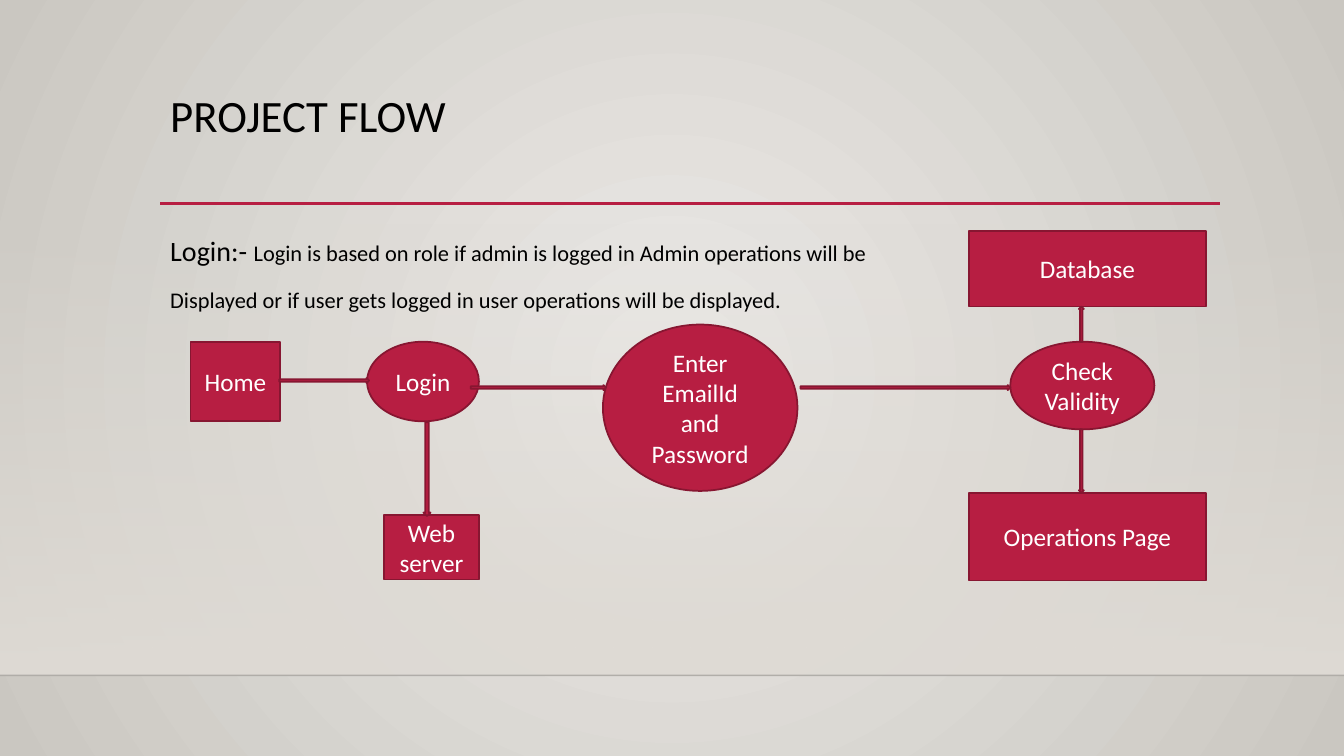
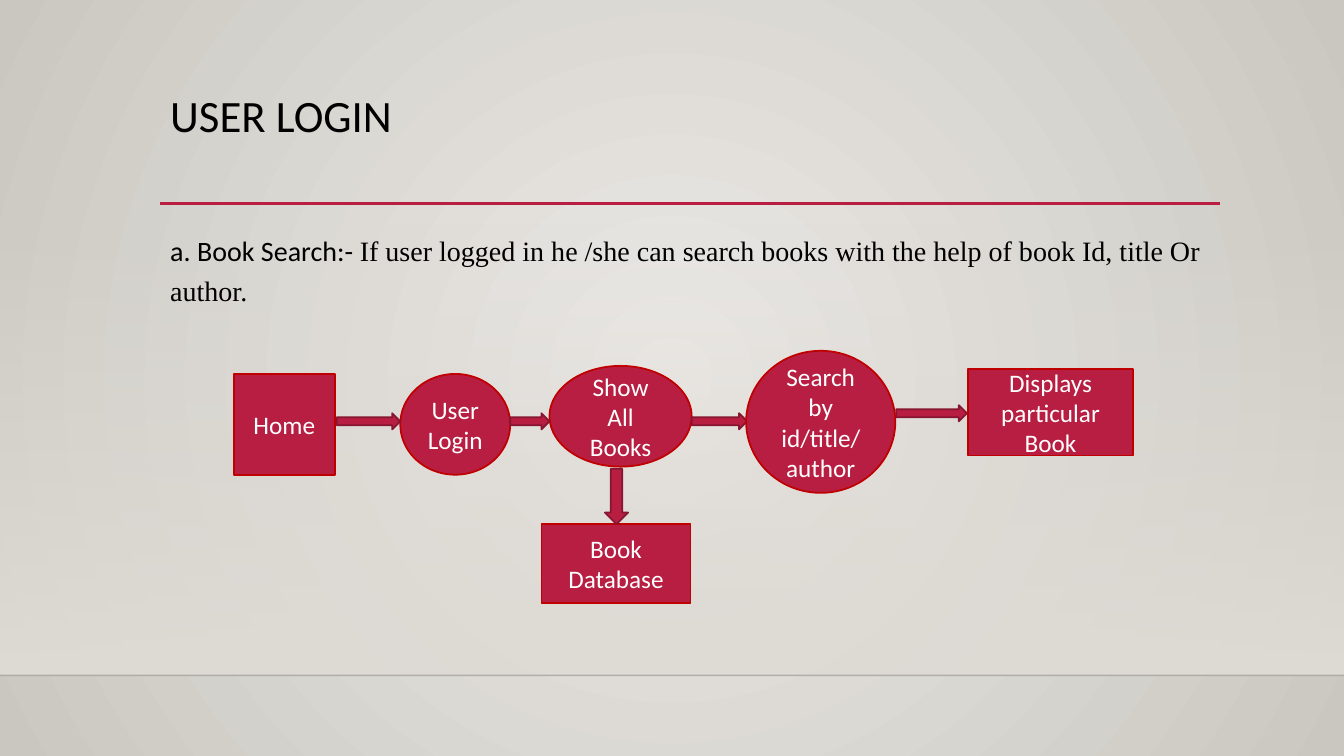
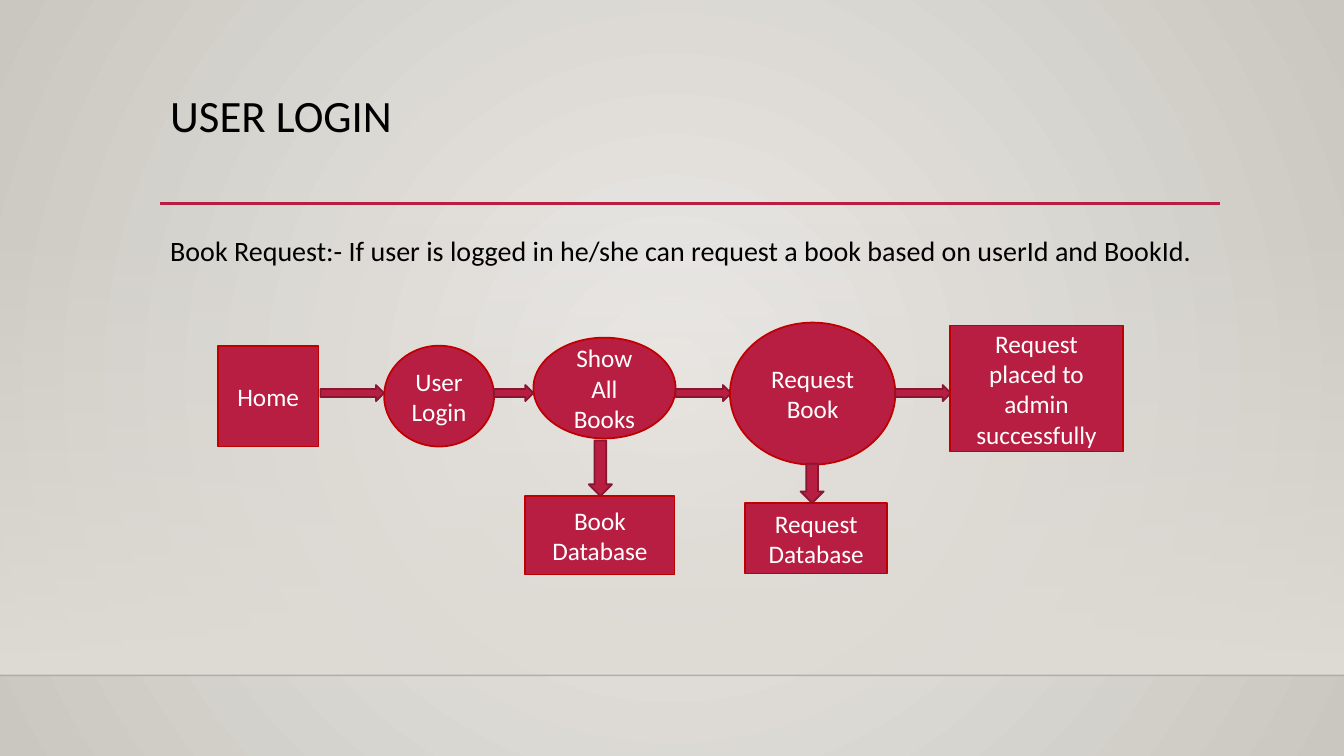
from pptx import Presentation
from pptx.dml.color import RGBColor
from pptx.enum.shapes import MSO_CONNECTOR as Link, MSO_SHAPE as Kind
from pptx.enum.text import MSO_ANCHOR as Anchor, PP_ALIGN as Align
from pptx.oxml.ns import qn
from pptx.util import Inches, Pt
from lxml.etree import SubElement

# Shared look
FONT, SERIF = "Calibri", "Times New Roman"
BLACK, WHITE = "000000", "FFFFFF"
RED, DARK, EDGE = "B71E42", "871631", "C00000"
WIDE, LEFT, SPAN, FLOOR = 13.33, 1.59, 10.5, 6.7


def tint(code):
    return RGBColor.from_string(code)


def place(*at):
    return [Inches(v) for v in at]


def fade(node, alpha):
    """Set the opacity, in percent, of the first colour in a node."""
    color = next(node.iter(qn("a:srgbClr")))
    SubElement(color, qn("a:alpha"), val=str(alpha * 1000))


def blend(fill, first, last):
    fill.gradient()
    for stop, code, pos in zip(fill.gradient_stops, (first, last), (0, 1)):
        stop.color.rgb = tint(code)
        stop.position = pos


# Text
def write(para, text, size, color=BLACK, font=FONT):
    run = para.add_run()
    run.text = text
    run.font.size, run.font.name = Pt(size), font
    run.font.color.rgb = tint(color)


def text_box(slide, at, paras, space):
    frame = slide.shapes.add_textbox(*place(*at)).text_frame
    frame.word_wrap = True
    for i, runs in enumerate(paras):
        para = frame.add_paragraph() if i else frame.paragraphs[0]
        para.line_spacing = space
        if i:
            para.space_before = Pt(10)
        for run in runs:
            write(para, *run)


# Shapes and lines
def shape(slide, kind, at, edge):
    item = slide.shapes.add_shape(kind, *place(*at))
    item.shadow.inherit = False
    item.fill.solid()
    item.fill.fore_color.rgb = tint(RED)
    item.line.color.rgb = tint(edge)
    item.line.width = Pt(1.25)
    return item


def node(slide, kind, text, at, edge=EDGE):
    frame = shape(slide, kind, at, edge).text_frame
    frame.word_wrap = True
    frame.vertical_anchor = Anchor.MIDDLE
    para = frame.paragraphs[0]
    para.alignment = Align.CENTER
    write(para, text, 18, WHITE)


def arrow(slide, kind, *at):
    shape(slide, kind, at, DARK)


def rule(slide, x, y, end, color, width):
    line = slide.shapes.add_connector(Link.STRAIGHT, *place(x, y, end, y))
    line.line.color.rgb = tint(color)
    line.line.width = Pt(width)
    SubElement(line._element.spPr, qn("a:effectLst"))
    return line


# Frame of every slide
def backdrop(master):
    blend(master.background.fill, "ECEAE7", "CAC7C1")
    grad = next(master._element.iter(qn("a:gradFill")))
    grad.remove(grad.find(qn("a:lin")))
    ring = SubElement(grad, qn("a:path"), path="circle")
    SubElement(ring, qn("a:fillToRect"), l="50000", t="50000", r="50000", b="50000")


def start(deck, title, paras):
    slide = deck.slides.add_slide(deck.slide_layouts[6])
    wall = slide.shapes.add_shape(Kind.RECTANGLE, *place(0, 2.21, WIDE, FLOOR - 2.21))
    wall.shadow.inherit = False
    wall.line.fill.background()
    blend(wall.fill, "DFDBD5", "DFDBD5")
    wall.fill.gradient_angle = 270
    fade(wall._element, 0)
    fade(rule(slide, 0, FLOOR, WIDE, BLACK, 1)._element, 20)
    rule(slide, LEFT, 2.02, 12.1, RED, 2.5)
    text_box(slide, (LEFT, 0.88, SPAN, 1.15), [[(title, 32)]], 0.9)
    text_box(slide, (LEFT, 2.2, SPAN, 3.77), paras, 1.2)
    return slide


def user_steps(slide, x, y):
    """Draw the steps both user flows begin with; x, y is the Home corner."""
    node(slide, Kind.RECTANGLE, "Home", (x, y, 1, 1))
    node(slide, Kind.OVAL, "Show All Books", (x + 3.13, y - 0.08, 1.41, 1))
    node(slide, Kind.RECTANGLE, "Book Database", (x + 3.05, y + 1.49, 1.48, 0.78))
    node(slide, Kind.OVAL, "User Login", (x + 1.65, y, 1.09, 1))
    for dx, width in ((1.02, 0.63), (2.74, 0.39), (4.54, 0.55)):
        arrow(slide, Kind.RIGHT_ARROW, x + dx, y + 0.39, width, 0.16)
    arrow(slide, Kind.DOWN_ARROW, x + 3.68, y + 0.94, 0.23, 0.55)


# Slides
def project_flow(deck):
    slide = start(deck, "PROJECT FLOW", [
        [("Login:- ", 20),
         ("Login is based on role if admin is logged in Admin operations will be", 16)],
        [("Displayed or if user gets logged in user operations will be displayed.", 16)],
    ])
    for kind, text, at in (
        (Kind.RECTANGLE, "Home", (1.89, 3.39, 0.89, 0.79)),
        (Kind.OVAL, "Login", (3.64, 3.39, 1.11, 0.79)),
        (Kind.OVAL, "Enter EmailId and Password", (5.98, 3.22, 1.93, 1.65)),
        (Kind.OVAL, "Check Validity", (10.02, 3.39, 1.43, 0.87)),
        (Kind.RECTANGLE, "Database", (9.61, 2.29, 2.35, 0.75)),
        (Kind.RECTANGLE, "Operations Page", (9.61, 4.89, 2.35, 0.87)),
        (Kind.RECTANGLE, "Web server", (3.81, 5.11, 0.94, 0.64)),
    ):
        node(slide, kind, text, at, DARK)
    for x, y, width in ((2.77, 3.75, 0.89), (4.67, 3.82, 1.34), (7.94, 3.82, 2.08)):
        arrow(slide, Kind.RIGHT_ARROW, x, y, width, 0.05)
    arrow(slide, Kind.DOWN_ARROW, 4.2, 4.19, 0.07, 0.93)
    arrow(slide, Kind.UP_ARROW, 10.7, 3.04, 0.05, 0.35)
    arrow(slide, Kind.DOWN_ARROW, 10.7, 4.26, 0.05, 0.63)


def book_search(deck):
    slide = start(deck, "USER LOGIN", [[
        ("a. Book Search:- ", 20),
        ("If user logged in he /she can search books with the help of "
         "book Id, title Or author.", 20, BLACK, SERIF),
    ]])
    user_steps(slide, 2.32, 3.71)
    arrow(slide, Kind.RIGHT_ARROW, 8.89, 4.02, 0.7, 0.16)
    node(slide, Kind.OVAL, "Search by id/title/author", (7.4, 3.48, 1.48, 1.41))
    node(slide, Kind.RECTANGLE, "Displays particular Book", (9.6, 3.66, 1.64, 0.86))


def book_request(deck):
    slide = start(deck, "USER LOGIN", [[
        ("Book Request:- If user is logged in he/she can request a book "
         "based on userId and BookId.", 20),
    ]])
    user_steps(slide, 2.16, 3.43)
    node(slide, Kind.OVAL, "Request Book", (7.24, 3.2, 1.64, 1.41))
    arrow(slide, Kind.RIGHT_ARROW, 8.88, 3.82, 0.55, 0.16)
    node(slide, Kind.RECTANGLE, "Request Database", (7.39, 4.99, 1.41, 0.7))
    arrow(slide, Kind.DOWN_ARROW, 7.94, 4.6, 0.23, 0.39)
    node(slide, Kind.RECTANGLE, "Request placed to admin successfully",
         (9.42, 3.23, 1.72, 1.25))


def main():
    deck = Presentation()
    deck.slide_width, deck.slide_height = place(WIDE, 7.5)
    backdrop(deck.slide_master)
    project_flow(deck)
    book_search(deck)
    book_request(deck)
    deck.save("out.pptx")


if __name__ == "__main__":
    main()
